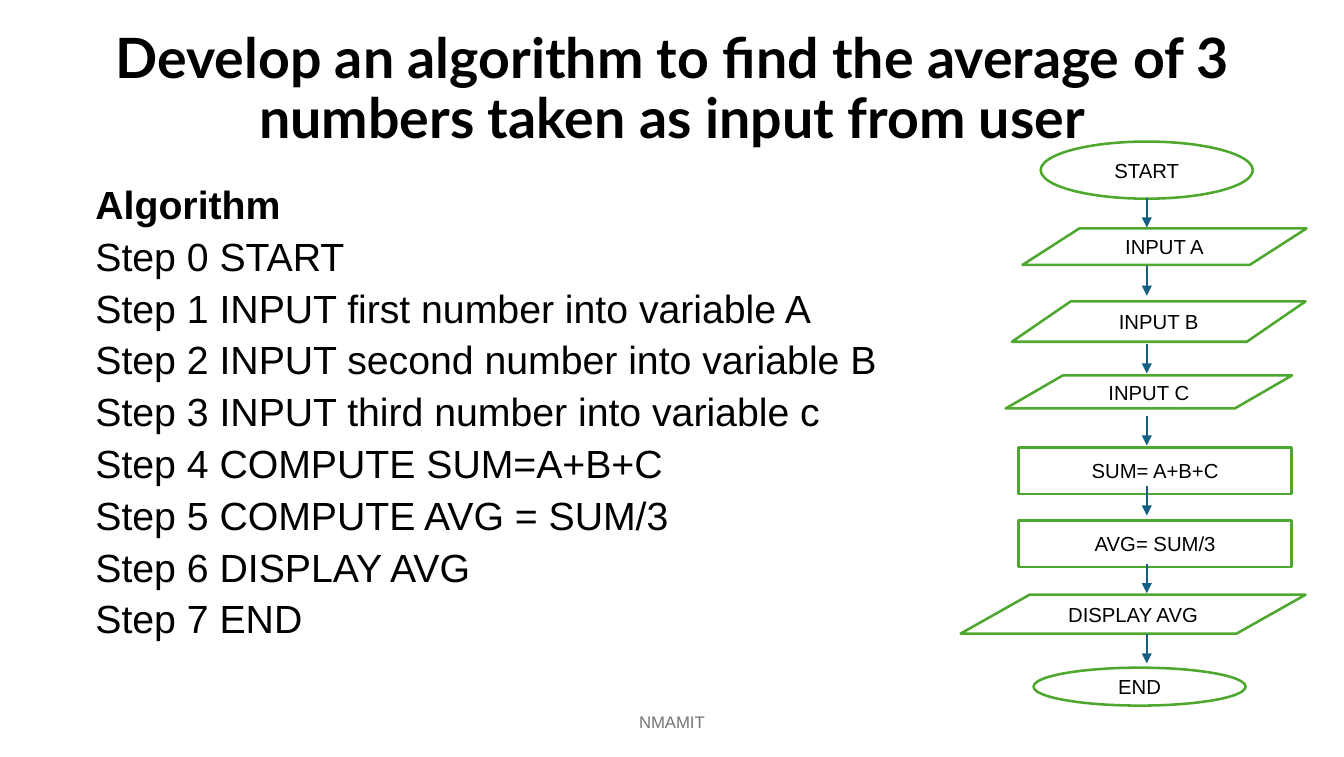
from lxml.etree import SubElement
from pptx import Presentation
from pptx.dml.color import RGBColor
from pptx.enum.shapes import MSO_CONNECTOR, MSO_SHAPE
from pptx.enum.text import MSO_ANCHOR, PP_ALIGN
from pptx.oxml.ns import qn
from pptx.util import Cm, Pt

BLACK = RGBColor(0x00, 0x00, 0x00)
WHITE = RGBColor(0xFF, 0xFF, 0xFF)
GREEN = RGBColor(0x4E, 0xA7, 0x2E)
BLUE = RGBColor(0x15, 0x60, 0x82)
GRAY = RGBColor(0x75, 0x75, 0x75)

TITLE = "Develop an algorithm to find the average of 3 numbers taken as input from user"
ALGORITHM = [
    "Algorithm",
    "Step 0 START",
    "Step 1 INPUT first number into variable A",
    "Step 2 INPUT second number into variable B",
    "Step 3 INPUT third number into variable c",
    "Step 4 COMPUTE SUM=A+B+C",
    "Step 5 COMPUTE AVG = SUM/3",
    "Step 6 DISPLAY AVG",
    "Step 7 END",
]
FLOW_STEPS = [
    ("START", MSO_SHAPE.OVAL, 1.67, 0, 4.42, 1.19),
    ("INPUT A", MSO_SHAPE.FLOWCHART_DATA, 1.29, 1.81, 5.92, 0.76),
    ("INPUT B", MSO_SHAPE.FLOWCHART_DATA, 1.07, 3.33, 6.12, 0.84),
    ("INPUT C", MSO_SHAPE.FLOWCHART_DATA, 0.94, 4.87, 5.97, 0.69),
    ("SUM= A+B+C", MSO_SHAPE.RECTANGLE, 1.21, 6.37, 5.69, 0.97),
    ("AVG= SUM/3", MSO_SHAPE.RECTANGLE, 1.21, 7.89, 5.69, 0.97),
    ("DISPLAY AVG", MSO_SHAPE.FLOWCHART_DATA, 0, 9.44, 7.19, 0.81),
    ("END", MSO_SHAPE.OVAL, 1.52, 10.96, 4.42, 0.79),
]
ARROW_TOPS = [1.17, 2.59, 4.21, 5.71, 7.17, 8.79, 10.25]
ARROW_LEFT = 3.88
ARROW_LENGTH = 0.62


def format_paragraph(paragraph, size, color, name="Arial", bold=False, align=PP_ALIGN.CENTER):
    """Set the alignment of a paragraph and the font of its runs."""
    paragraph.alignment = align
    for run in paragraph.runs:
        font = run.font
        font.name, font.size, font.bold = name, Pt(size), bold
        font.color.rgb = color


def add_title(slide, left, top, width, height):
    """Place and format the title placeholder."""
    title = slide.shapes.title
    title.left, title.top, title.width, title.height = left, top, width, height
    frame = title.text_frame
    frame.text = TITLE
    frame.vertical_anchor = MSO_ANCHOR.MIDDLE
    paragraph = frame.paragraphs[0]
    paragraph.line_spacing = 0.9
    format_paragraph(paragraph, 32.8, BLACK, "Lato", True)


def add_algorithm(slide, left, top, width, height):
    """Write the heading and the steps of the algorithm."""
    frame = slide.shapes.add_textbox(left, top, width, height).text_frame
    frame.word_wrap = True
    frame.text = "\n".join(ALGORITHM)
    for index, paragraph in enumerate(frame.paragraphs):
        paragraph.line_spacing = 0.8
        paragraph.space_before = Pt(8.3 if index else 0)
        format_paragraph(paragraph, 23.2, BLACK, bold=index == 0, align=PP_ALIGN.LEFT)


def add_flow_step(slide, label, kind, left, top, width, height):
    """Draw one labelled step of the flowchart."""
    shape = slide.shapes.add_shape(kind, left, top, width, height)
    shape.shadow.inherit = False
    shape.fill.solid()
    shape.fill.fore_color.rgb = WHITE
    shape.line.color.rgb = GREEN
    shape.line.width = Pt(1.5)
    frame = shape.text_frame
    frame.text = label
    frame.vertical_anchor = MSO_ANCHOR.MIDDLE
    format_paragraph(frame.paragraphs[0], 12, BLACK)


def add_down_arrow(slide, left, top, length):
    """Draw a vertical arrow that points down."""
    arrow = slide.shapes.add_connector(MSO_CONNECTOR.STRAIGHT, left, top, left, top + length)
    arrow.line.color.rgb = BLUE
    arrow.line.width = Pt(1.5)
    properties = arrow._element.spPr
    SubElement(properties.find(qn("a:ln")), qn("a:tailEnd"), type="triangle")
    SubElement(properties, qn("a:effectLst"))


def add_flowchart(slide, left, top):
    """Draw the steps and then the arrows between them."""
    for label, kind, x, y, width, height in FLOW_STEPS:
        add_flow_step(slide, label, kind, left + Cm(x), top + Cm(y), Cm(width), Cm(height))
    for y in ARROW_TOPS:
        add_down_arrow(slide, left + Cm(ARROW_LEFT), top + Cm(y), Cm(ARROW_LENGTH))


def add_footer(slide, left, top, width, height):
    """Write the centred footer."""
    frame = slide.shapes.add_textbox(left, top, width, height).text_frame
    frame.word_wrap = True
    frame.vertical_anchor = MSO_ANCHOR.MIDDLE
    frame.text = "NMAMIT"
    format_paragraph(frame.paragraphs[0], 9.9, GRAY)


def main():
    """Build the slide and save the presentation."""
    presentation = Presentation()
    presentation.slide_width, presentation.slide_height = Cm(28.01), Cm(15.77)
    slide = presentation.slides.add_slide(presentation.slide_layouts.get_by_name("Title Only"))
    add_title(slide, Cm(1.93), Cm(0.36), Cm(24.16), Cm(3.05))
    add_algorithm(slide, Cm(1.74), Cm(3.82), Cm(24.16), Cm(10))
    add_flowchart(slide, Cm(20.02), Cm(2.95))
    add_footer(slide, Cm(9.28), Cm(14.62), Cm(9.45), Cm(0.84))
    presentation.save("out.pptx")


if __name__ == "__main__":
    main()
